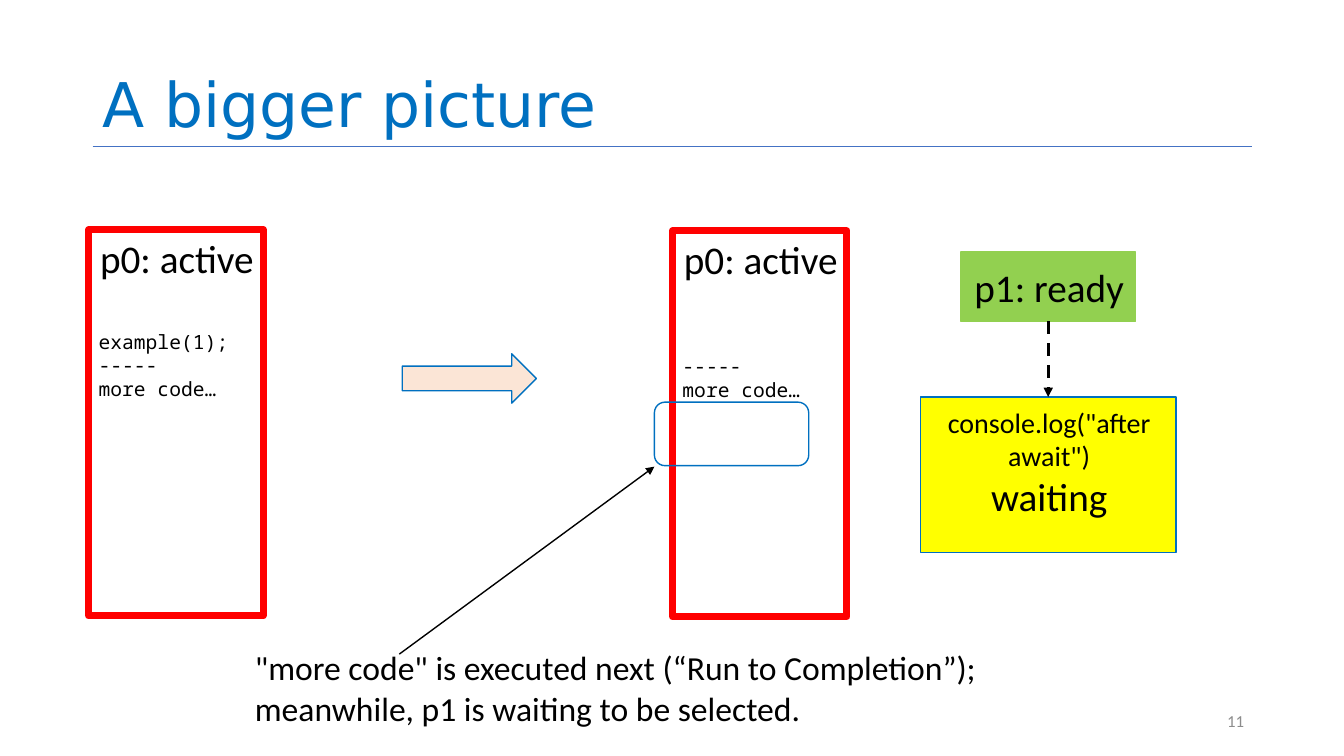
from dataclasses import dataclass
from typing import NamedTuple, Optional

from lxml.etree import SubElement
from pptx import Presentation
from pptx.dml.color import RGBColor
from pptx.enum.dml import MSO_LINE
from pptx.enum.shapes import MSO_CONNECTOR, MSO_SHAPE
from pptx.enum.text import MSO_ANCHOR, PP_ALIGN
from pptx.oxml.ns import qn
from pptx.util import Inches, Pt


@dataclass(frozen=True)
class Theme:
    blue: str = "0070C0"
    rule: str = "4472C4"
    red: str = "FF0000"
    green: str = "92D050"
    yellow: str = "FFFF00"
    peach: str = "FBE5D6"
    black: str = "000000"
    grey: str = "8C8C8C"
    title_font: str = "DejaVu Sans"
    body_font: str = "Calibri"
    code_font: str = "Noto Sans Mono"
    title: int = 44
    label: int = 28
    caption: int = 24
    call: int = 20
    code: int = 14
    number: int = 12


T = Theme()
WIDTH, HEIGHT = Inches(13.33), Inches(7.5)


class Area(NamedTuple):
    """Left, top, width and height as percentages of the slide."""
    x: float
    y: float
    w: float
    h: float


@dataclass(frozen=True)
class Line:
    text: str
    size: int
    font: str = T.body_font
    color: str = T.black
    align: PP_ALIGN = PP_ALIGN.LEFT
    before: float = 0
    spacing: float = 1.0


@dataclass(frozen=True)
class Box:
    area: Area
    lines: tuple[Line, ...] = ()
    kind: Optional[MSO_SHAPE] = MSO_SHAPE.RECTANGLE  # None: text box
    fill: Optional[str] = None
    line: str = T.blue
    weight: float = 1
    anchor: MSO_ANCHOR = MSO_ANCHOR.MIDDLE
    top: float = 0.05


@dataclass(frozen=True)
class Link:
    start: tuple[float, float]
    end: tuple[float, float]
    color: str = T.black
    weight: float = 1
    dash: Optional[MSO_LINE] = None
    arrow: bool = True


def across(share: float) -> int:
    return round(WIDTH * share / 100)


def down(share: float) -> int:
    return round(HEIGHT * share / 100)


def set_all(target, values: dict) -> None:
    for name, value in values.items():
        setattr(target, name, value)


def write(tf, box: Box) -> None:
    set_all(tf, {"word_wrap": True, "vertical_anchor": box.anchor,
                 "margin_left": Inches(0.1), "margin_right": Inches(0.08),
                 "margin_top": Inches(box.top), "margin_bottom": Inches(0.05)})
    for i, line in enumerate(box.lines):
        p = tf.paragraphs[0] if i == 0 else tf.add_paragraph()
        set_all(p, {"alignment": line.align, "space_before": Pt(line.before),
                    "line_spacing": line.spacing})
        r = p.add_run()
        r.text = line.text
        set_all(r.font, {"size": Pt(line.size), "name": line.font})
        r.font.color.rgb = RGBColor.from_string(line.color)


def draw_box(shapes, box: Box):
    a = box.area
    place = across(a.x), down(a.y), across(a.w), down(a.h)
    if box.kind is None:
        s = shapes.add_textbox(*place)
    else:
        s = shapes.add_shape(box.kind, *place)
        s.shadow.inherit = False
        if box.fill:
            s.fill.solid()
            s.fill.fore_color.rgb = RGBColor.from_string(box.fill)
        else:
            s.fill.background()
        s.line.color.rgb = RGBColor.from_string(box.line)
        s.line.width = Pt(box.weight)
    if box.lines:
        write(s.text_frame, box)
    return s


def draw_link(shapes, link: Link):
    (x1, y1), (x2, y2) = link.start, link.end
    c = shapes.add_connector(MSO_CONNECTOR.STRAIGHT,
                             across(x1), down(y1), across(x2), down(y2))
    c.line.color.rgb = RGBColor.from_string(link.color)
    set_all(c.line, {"width": Pt(link.weight), "dash_style": link.dash})
    if link.arrow:
        SubElement(c.line._get_or_add_ln(), qn("a:tailEnd"), type="triangle")
    SubElement(c._element.spPr, qn("a:effectLst"))
    return c


def process(x: float, y: float, code: tuple[str, ...], gap: float) -> Box:
    """Active process: a label, then its remaining code below a gap in points."""
    lines = [Line("p0: active", T.label, align=PP_ALIGN.CENTER)]
    lines += [Line(text, T.code, T.code_font, before=0 if i else gap)
              for i, text in enumerate(code)]
    return Box(Area(x, y, 12.98, 51.07), tuple(lines), line=T.red, weight=5,
               anchor=MSO_ANCHOR.TOP)


CODE = ("example(1);", "-----", "more code…")
READY = Box(Area(71.5, 33.33, 12.98, 9.2),
            (Line("p1: ready", T.label, align=PP_ALIGN.CENTER),),
            fill=T.green, line=T.green)
WAITING = Box(Area(68.47, 52.53, 19.04, 20.53),
              (Line('console.log("after await")', T.call, align=PP_ALIGN.CENTER),
               Line("waiting", T.label, align=PP_ALIGN.CENTER)),
              fill=T.yellow, anchor=MSO_ANCHOR.TOP, top=0.08)
BOXES = (
    Box(Area(6.9, 0, 86.27, 19.33),
        (Line("A bigger picture", T.title, T.title_font, T.blue, spacing=0.9),),
        kind=None, anchor=MSO_ANCHOR.BOTTOM),
    Box(Area(70.67, 92.67, 22.5, 5.33),
        (Line("11", T.number, color=T.grey, align=PP_ALIGN.RIGHT),), kind=None),
    process(6.6, 30.4, CODE, 34),
    process(50.04, 30.53, CODE[1:], 51),
    Box(Area(29.93, 46.8, 9.98, 6.53), kind=MSO_SHAPE.RIGHT_ARROW, fill=T.peach),
    Box(Area(48.69, 53.2, 11.48, 8.4), kind=MSO_SHAPE.ROUNDED_RECTANGLE),
    Box(Area(18.23, 83.07, 55.59, 15.73),
        (Line('"more code" is executed next (“Run to Completion”); '
              "meanwhile, p1 is waiting to be selected.", T.caption),), kind=None),
)
LINKS = (
    Link((6.9, 19.33), (93.17, 19.33), T.rule, 0.5, arrow=False),
    Link((29.71, 86.53), (48.69, 61.73)),
)
AWAIT = Link((77.99, 42.53), (77.99, 52.53), weight=2.25, dash=MSO_LINE.DASH)


def main() -> None:
    prs = Presentation()
    set_all(prs, {"slide_width": WIDTH, "slide_height": HEIGHT})
    shapes = prs.slides.add_slide(prs.slide_layouts[6]).shapes
    for box in BOXES:
        draw_box(shapes, box)
    ready, waiting = draw_box(shapes, READY), draw_box(shapes, WAITING)
    for link in LINKS:
        draw_link(shapes, link)
    c = draw_link(shapes, AWAIT)
    c.begin_connect(ready, 2)
    c.end_connect(waiting, 0)
    prs.save("out.pptx")


if __name__ == "__main__":
    main()
